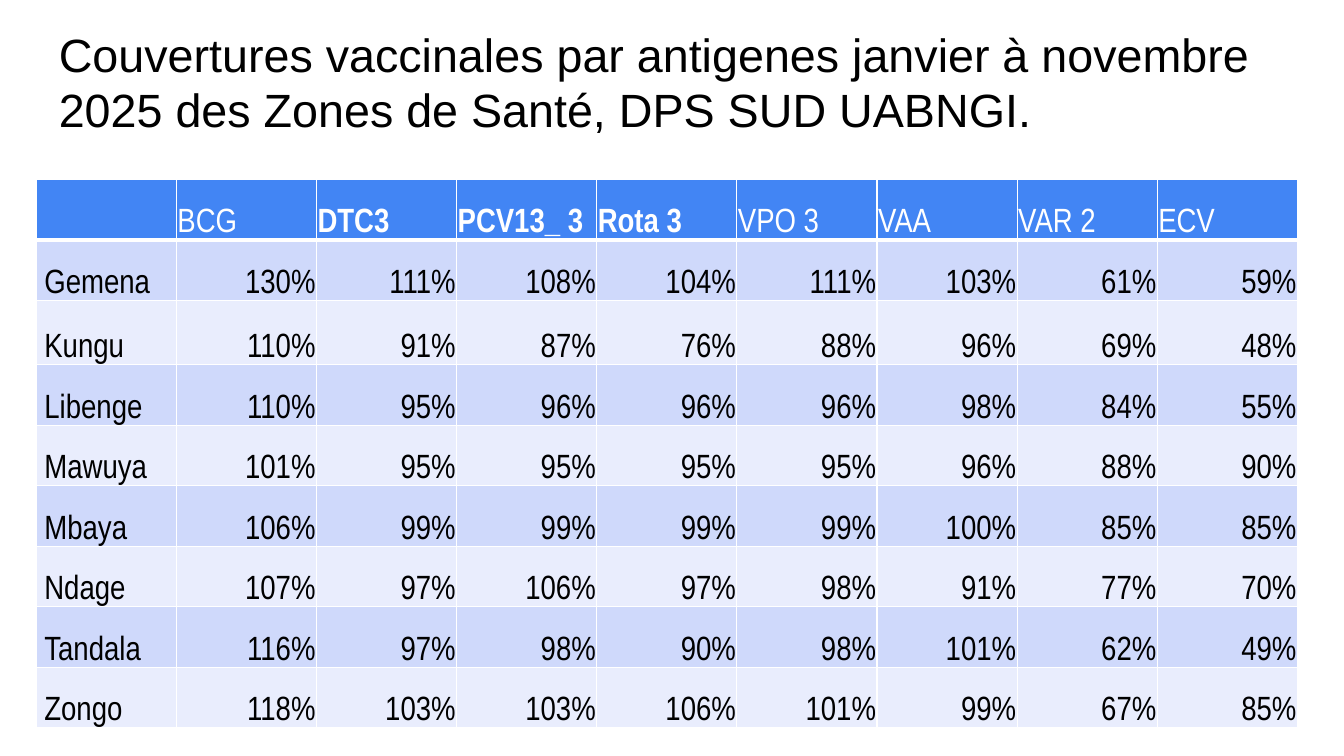
from lxml import etree
from pptx import Presentation, util as u
from pptx.dml.color import RGBColor
from pptx.enum import text
from pptx.oxml import ns

WIDE, HIGH = u.Inches(13.33), u.Inches(7.5)
COL, ROW = u.Inches(1.39), u.Inches(0.6)
TALL = u.Inches(0.64)
LEFT, TOP = u.Inches(0.36), u.Inches(1.78)
BLACK = RGBColor(0x00, 0x00, 0x00)
WHITE = RGBColor(0xFF, 0xFF, 0xFF)
BLUE = RGBColor(0x42, 0x85, 0xF4)
BANDS = RGBColor(0xE9, 0xED, 0xFD), RGBColor(0xCF, 0xD9, 0xFB)
TITLE = ("Couvertures vaccinales par antigenes janvier à novembre 2025 "
         "des Zones de Santé, DPS SUD UABNGI.")
HEADS = ["", "BCG", "DTC3", "PCV13_ 3", "Rota 3", "VPO 3", "VAA", "VAR 2", "ECV"]
STRONG = {"DTC3", "PCV13_ 3", "Rota 3"}
RATES = {
    "Gemena": (130, 111, 108, 104, 111, 103, 61, 59),
    "Kungu": (110, 91, 87, 76, 88, 96, 69, 48),
    "Libenge": (110, 95, 96, 96, 96, 98, 84, 55),
    "Mawuya": (101, 95, 95, 95, 95, 96, 88, 90),
    "Mbaya": (106, 99, 99, 99, 99, 100, 85, 85),
    "Ndage": (107, 97, 106, 97, 98, 91, 77, 70),
    "Tandala": (116, 97, 98, 90, 98, 101, 62, 49),
    "Zongo": (118, 103, 103, 106, 101, 99, 67, 85),
}


def add_run(para, words, face, size, color, bold=False):
    """Add one formatted run to a paragraph."""
    run = para.add_run()
    run.text = words
    font = run.font
    font.name, font.size, font.bold = face, u.Pt(size), bold
    font.color.rgb = color


def add_title(slide):
    """Place and format the title placeholder."""
    title = slide.shapes.title
    title.left, title.top = round(WIDE * 0.034), round(HIGH * 0.019)
    title.width, title.height = round(WIDE * 0.932), round(HIGH * 0.18)
    frame = title.text_frame
    frame.auto_size = text.MSO_AUTO_SIZE.NONE
    frame.word_wrap = True
    frame.vertical_anchor = text.MSO_ANCHOR.BOTTOM
    frame.margin_left = frame.margin_right = u.Inches(0.13)
    frame.margin_top = frame.margin_bottom = u.Inches(0.13)
    para = frame.paragraphs[0]
    para.alignment = text.PP_ALIGN.LEFT
    add_run(para, TITLE, "Arial", 33.3, BLACK)


def add_edges(cell, top, base):
    """Draw white borders with the given top and base widths in points."""
    props = cell._tc.get_or_add_tcPr()
    for tag, width in (("lnL", 1), ("lnR", 1), ("lnT", top), ("lnB", base)):
        line = etree.SubElement(props, ns.qn("a:" + tag), w=str(u.Pt(width)))
        fill = etree.SubElement(line, ns.qn("a:solidFill"))
        etree.SubElement(fill, ns.qn("a:srgbClr"), val=str(WHITE))


def fill_cell(cell, words, row, col):
    """Format one table cell by its place in the grid."""
    head, name = row == 0, row > 0 and col == 0
    add_edges(cell, 3 if row == 1 else 1, 3 if head else 1)
    cell.fill.solid()
    cell.fill.fore_color.rgb = BLUE if head else BANDS[row % 2]
    cell.vertical_anchor = text.MSO_ANCHOR.BOTTOM
    cell.margin_left = u.Inches(0.08 if name else 0.01)
    cell.margin_right = cell.margin_top = u.Inches(0.01)
    cell.margin_bottom = 0
    para = cell.text_frame.paragraphs[0]
    para.alignment = text.PP_ALIGN.LEFT if head or name else text.PP_ALIGN.RIGHT
    if words:
        add_run(para, words, "Arial Narrow", 24, WHITE if head else BLACK, words in STRONG)


def add_rates(slide):
    """Build the table of vaccine coverage by health zone."""
    rows = [HEADS] + [[zone] + [f"{rate}%" for rate in rates]
                      for zone, rates in RATES.items()]
    count = len(HEADS)
    table = slide.shapes.add_table(len(rows), count, LEFT, TOP,
                                   COL * count, ROW * len(rows)).table
    table.first_row = table.horz_banding = False
    for col in table.columns:
        col.width = COL
    for r, words in enumerate(rows):
        table.rows[r].height = TALL if r == 2 else ROW
        for c, word in enumerate(words):
            fill_cell(table.cell(r, c), word, r, c)


def main():
    """Build and save the slide."""
    deck = Presentation()
    deck.slide_width, deck.slide_height = WIDE, HIGH
    slide = deck.slides.add_slide(deck.slide_layouts[5])
    add_title(slide)
    add_rates(slide)
    deck.save("out.pptx")


if __name__ == "__main__":
    main()
